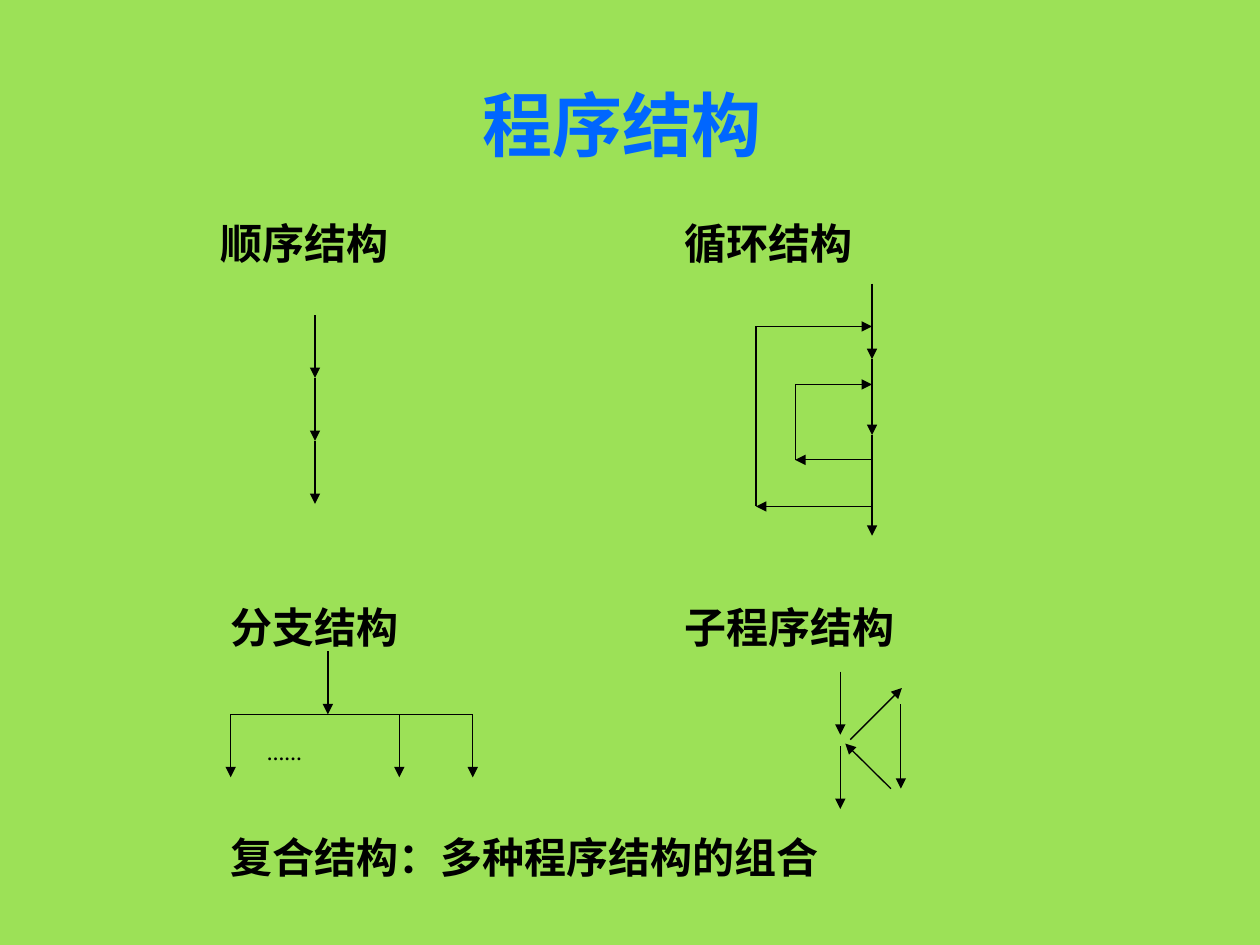
from lxml import etree
from pptx import Presentation
from pptx.dml.color import RGBColor
from pptx.enum.shapes import MSO_CONNECTOR
from pptx.enum.text import MSO_ANCHOR, PP_ALIGN
from pptx.oxml.ns import qn
from pptx.util import Cm, Pt

STRAIGHT = MSO_CONNECTOR.STRAIGHT
MIDDLE = MSO_ANCHOR.MIDDLE
LEFT, CENTER = PP_ALIGN.LEFT, PP_ALIGN.CENTER
FONT = "Times New Roman"
BLACK, BLUE, GREEN = "000000", "0066FF", "9CE157"


def paint(code):
    """Turn a hex string into a colour."""
    return RGBColor.from_string(code)


def write(shape, text, size, color=BLACK, align=LEFT):
    """Fill a shape with one bold line of text."""
    frame = shape.text_frame
    frame.word_wrap = True
    frame.vertical_anchor = MIDDLE
    frame.margin_left = frame.margin_right = 0
    frame.margin_top = frame.margin_bottom = 0
    frame.text = text
    line = frame.paragraphs[0]
    line.alignment = align
    font = line.font
    font.name, font.size, font.bold = FONT, Pt(size), True
    font.color.rgb = paint(color)


def label(shapes, text, box, size=24):
    """Add a text box in the given box."""
    write(shapes.add_textbox(*map(Cm, box)), text, size)


def draw(shapes, box, start, end, head=True):
    """Draw a line, with an arrowhead at its end if wanted."""
    left, top = box[:2]
    line = shapes.add_connector(
        STRAIGHT, Cm(left + start[0]), Cm(top + start[1]),
        Cm(left + end[0]), Cm(top + end[1]))
    line.line.color.rgb = paint(BLACK)
    line.line.width = Pt(0.75)
    if head:
        etree.SubElement(line.line._get_or_add_ln(), qn("a:tailEnd"), type="triangle")
    etree.SubElement(line._element.spPr, qn("a:effectLst"))


def chain(shapes, box, x, stops):
    """Draw arrows down a column from stop to stop."""
    for start, end in zip(stops, stops[1:]):
        draw(shapes, box, (x, start), (x, end))


def sequence(shapes, box):
    """Draw three steps in a row."""
    step = box[3] / 3
    chain(shapes, box, box[2] / 2, [step * i for i in range(4)])


def loops(shapes, box):
    """Draw a spine with an inner and an outer loop."""
    right, high = box[2:]
    chain(shapes, box, right, (0, 1.52, 3.05, high))
    for left, top, low in ((0.79, 2.03, 3.55), (0, 0.86, 4.49)):
        draw(shapes, box, (right, low), (left, low))
        draw(shapes, box, (left, low), (left, top), False)
        draw(shapes, box, (left, top), (right, top))


def branch(shapes, box):
    """Draw a stem that splits into many branches."""
    wide, high = box[2:]
    bar = high / 2
    draw(shapes, box, (1.96, 0), (1.96, bar))
    draw(shapes, box, (0, bar), (wide, bar), False)
    for x in (0, 3.4, wide):
        draw(shapes, box, (x, bar), (x, high))
    label(shapes, "……", (box[0] + 0.73, box[1] + 1.81, 1.9, 0.5), 10)


def routine(shapes, box):
    """Draw a main line that calls a routine and resumes."""
    side, high = box[2:]
    for start in (0, high - 1.27):
        draw(shapes, box, (0, start), (0, start + 1.27))
    draw(shapes, box, (side, 0.66), (side, 2.36))
    draw(shapes, box, (1.02, 2.36), (0.1, 1.45))
    draw(shapes, box, (0.2, 1.37), (1.24, 0.33))


def build():
    """Build the slide and save it."""
    deck = Presentation()
    deck.slide_width, deck.slide_height = Cm(25.4), Cm(19.05)
    slide = deck.slides.add_slide(deck.slide_layouts[5])
    fill = slide.background.fill
    fill.solid()
    fill.fore_color.rgb = paint(GREEN)

    title = slide.shapes.title
    title.left, title.top = Cm(0.69), Cm(1.52)
    title.width, title.height = Cm(23.7), Cm(1.96)
    write(title, "程序结构", 40, BLUE, CENTER)

    for text, x, y, wide in (
            ("顺序结构", 4.45, 4.3, 6),
            ("循环结构", 13.8, 4.3, 6),
            ("分支结构", 4.65, 12.04, 6),
            ("子程序结构", 13.8, 12.04, 6),
            ("复合结构：多种程序结构的组合", 4.65, 16.68, 16)):
        label(slide.shapes, text, (x, y, wide, 1.2))

    for part, box in (
            (sequence, (5.35, 6.35, 2, 3.81)),
            (loops, (15.24, 5.72, 2.34, 5.08)),
            (branch, (4.65, 13.13, 4.88, 2.54)),
            (routine, (16.94, 13.54, 1.22, 2.77))):
        part(slide.shapes.add_group_shape().shapes, box)
    deck.save("out.pptx")


if __name__ == "__main__":
    build()
